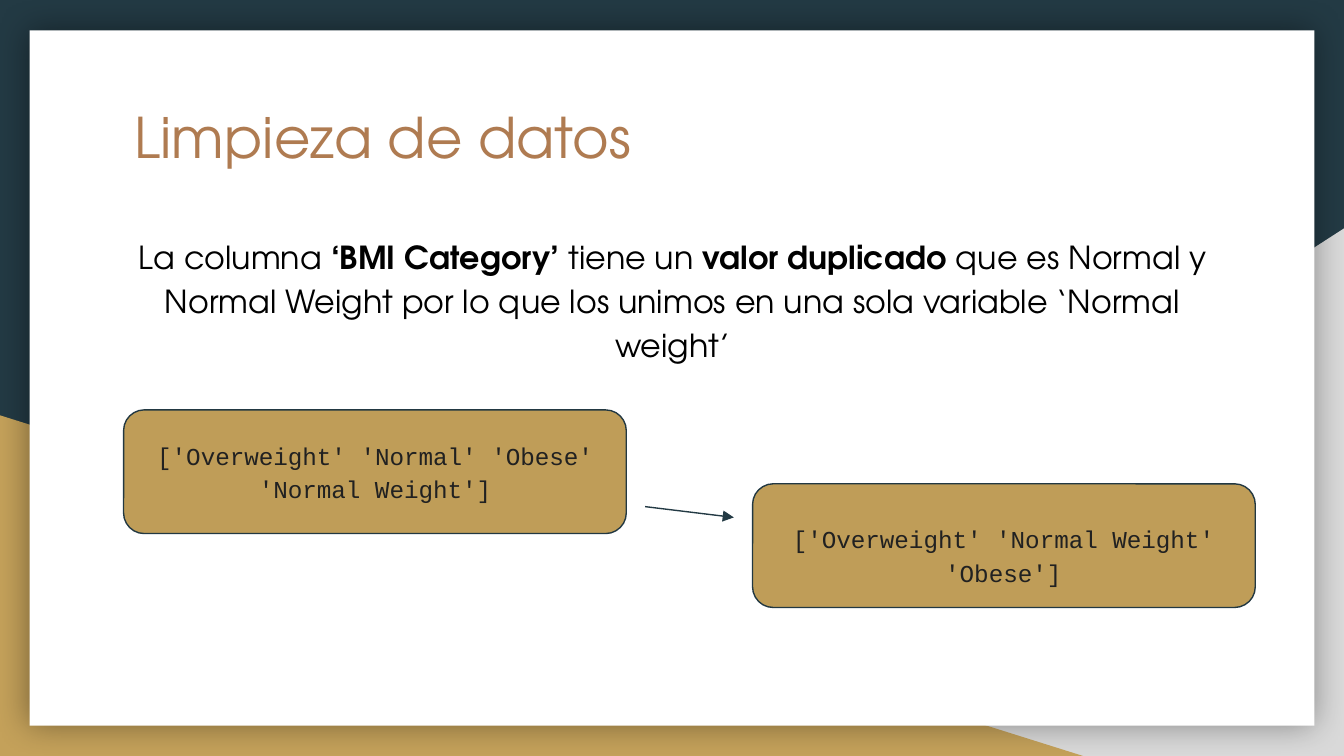
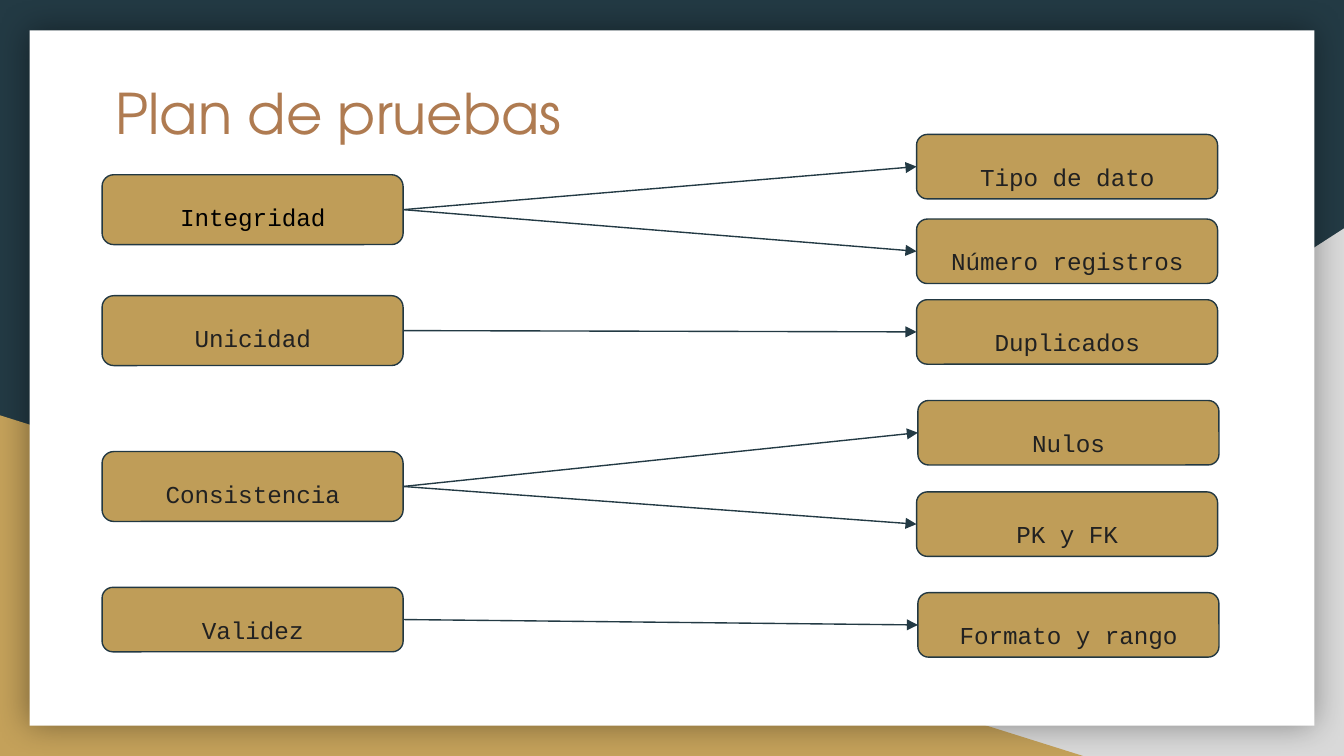
from typing import NamedTuple

from lxml import etree
from pptx import Presentation
from pptx import util as u
from pptx.dml.color import RGBColor
from pptx.enum import shapes, text
from pptx.oxml import ns

# Grid: cells of a tenth of an inch on a 16:9 page
CELL = u.Inches(0.1)
COLUMNS = 100
ROWS = COLUMNS * 9 / 16

NAVY, EDGE, GOLD, TAN = "233A44", "223842", "C4A15A", "BF9D58"
GREY, WHITE, BLACK, INK, COPPER = "D9D9D9", "FFFFFF", "000000", "212121", "AF7B51"
HEADING_FONT, CODE_FONT = "TeX Gyre Adventor", "Courier New"


class Area(NamedTuple):
    """A place on the grid: columns across, rows down."""
    left: float
    top: float
    width: float
    height: float

    def inset(self, across: float, down: float) -> "Area":
        return Area(self.left + across, self.top + down,
                    self.width - 2 * across, self.height - 2 * down)


class Style(NamedTuple):
    font: str
    size: int
    color: str
    align: text.PP_ALIGN = text.PP_ALIGN.CENTER


class Span(NamedTuple):
    words: str
    bold: bool = False


class Backing(NamedTuple):
    kind: shapes.MSO_SHAPE
    area: Area
    color: str
    flipped: bool = False
    shaded: bool = False


class Check(NamedTuple):
    """A quality dimension and the tests that cover it."""
    name: str
    top: float
    height: float
    tests: list[tuple[str, float, float]]
    color: str = INK


TITLE = Style(HEADING_FONT, 30, COPPER, text.PP_ALIGN.LEFT)
BODY = Style(HEADING_FONT, 17, BLACK)
CODE = Style(CODE_FONT, 13, INK)

BACKINGS = [
    Backing(shapes.MSO_SHAPE.RIGHT_TRIANGLE, Area(39.2, 17, COLUMNS - 39.2, ROWS - 17),
            GREY, flipped=True),
    Backing(shapes.MSO_SHAPE.RIGHT_TRIANGLE, Area(0, 30.9, 80.6, ROWS - 30.9), GOLD),
    Backing(shapes.MSO_SHAPE.RECTANGLE, Area(2.2, 2.25, 95.6, 51.75), WHITE, shaded=True),
]

# Slide contents
DUPLICATES = [
    Span("La columna "), Span("‘BMI Category’", True), Span(" tiene un "),
    Span("valor duplicado", True),
    Span(" que es Normal y Normal Weight por lo que los unimos "
         "en una sola variable ‘Normal weight’"),
]
BEFORE_AFTER = [
    (Area(56, 36, 37.4, 9.2), Area(57.2, 37.7, 34.9, 5.2),
     "['Overweight' 'Normal Weight' 'Obese']"),
    (Area(9.2, 30.5, 37.4, 9.2), Area(6.9, 31.5, 42, 6.9),
     "['Overweight' 'Normal' 'Obese' 'Normal Weight']"),
]
CHECK_LEFT, BOX_WIDTH, TEST_HEIGHT = 7.6, 22.4, 4.8
CHECKS = [
    Check("Integridad", 13, 5.2,
          [("Tipo de dato", 68.2, 10), ("Número registros", 68.2, 16.3)], BLACK),
    Check("Unicidad", 22, 5.2, [("Duplicados", 68.2, 22.3)]),
    Check("Consistencia", 33.6, 5.2, [("Nulos", 68.3, 29.8), ("PK y FK", 68.2, 36.6)]),
    Check("Validez", 43.7, 4.8, [("Formato y rango", 68.3, 44.1)]),
]


def grid(*counts: float) -> list[int]:
    return [round(count * CELL) for count in counts]


def paint(target, color: str) -> None:
    """Give a fill a solid colour."""
    target.solid()
    target.fore_color.rgb = RGBColor.from_string(color)


def place(shape, area: Area) -> None:
    shape.left, shape.top, shape.width, shape.height = grid(*area)


def write(shape, spans: list[Span], style: Style) -> None:
    """Write one paragraph at the top of a placeholder or text box."""
    frame = shape.text_frame
    frame.word_wrap = True
    frame.auto_size = text.MSO_AUTO_SIZE.NONE
    frame.vertical_anchor = text.MSO_ANCHOR.TOP
    frame.margin_left = frame.margin_right = CELL
    frame.margin_top = frame.margin_bottom = CELL
    para = frame.paragraphs[0]
    para.alignment, para.line_spacing = style.align, 1.15
    para.space_before = u.Pt(0)
    para.font.name, para.font.size = style.font, u.Pt(style.size)
    para.font.color.rgb = RGBColor.from_string(style.color)
    for words, bold in spans:
        span = para.add_run()
        span.text = words
        if bold:
            span.font.bold = True


def add_title(page, words: str, area: Area) -> None:
    place(page.shapes.title, area)
    write(page.shapes.title, [Span(words)], TITLE)


def add_body(page, spans: list[Span], area: Area) -> None:
    body = page.placeholders[1]
    place(body, area)
    write(body, spans, BODY)
    properties = body.text_frame.paragraphs[0]._p.get_or_add_pPr()
    properties.set("marL", "0")
    properties.set("indent", "0")
    bullet = etree.Element(ns.qn("a:buNone"))
    properties.find(ns.qn("a:defRPr")).addprevious(bullet)


def add_box(page, area: Area):
    box = page.shapes.add_shape(shapes.MSO_SHAPE.ROUNDED_RECTANGLE, *grid(*area))
    box.shadow.inherit = False
    paint(box.fill, TAN)
    paint(box.line.fill, EDGE)
    box.line.width = u.Pt(0.75)
    return box


def add_label(page, words: str, area: Area, color: str = INK) -> None:
    label = page.shapes.add_textbox(*grid(*area))
    write(label, [Span(words)], CODE._replace(color=color))


def add_labelled_box(page, words: str, area: Area, color: str = INK):
    box = add_box(page, area)
    add_label(page, words, area.inset(0.95, 0.72), color)
    return box


def add_arrow(page, start: tuple[float, float] = (0, 0), end: tuple[float, float] = (0, 0)):
    arrow = page.shapes.add_connector(shapes.MSO_CONNECTOR.STRAIGHT, *grid(*start, *end))
    paint(arrow.line.fill, NAVY)
    arrow.line.width = u.Pt(0.75)
    properties = arrow._element.spPr
    etree.SubElement(properties.find(ns.qn("a:ln")), ns.qn("a:tailEnd"), type="triangle")
    etree.SubElement(properties, ns.qn("a:effectLst"))
    return arrow


def join(page, source, target) -> None:
    """Glue an arrow from a box's right side to another's left side."""
    arrow = add_arrow(page)
    arrow.begin_connect(source, 3)
    arrow.end_connect(target, 1)


def add_shade(shape) -> None:
    effects = shape._element.spPr.find(ns.qn("a:effectLst"))
    shade = etree.SubElement(effects, ns.qn("a:outerShdw"), blurRad=str(u.Pt(18)),
                             dist="0", dir="0", algn="ctr", rotWithShape="0")
    color = etree.SubElement(shade, ns.qn("a:srgbClr"), val=BLACK)
    etree.SubElement(color, ns.qn("a:alpha"), val="40000")


def dress_master(master, page) -> None:
    """Draw the shared backings on a page and move them to its master."""
    paint(master.background.fill, NAVY)
    for order, backing in enumerate(BACKINGS):
        shape = page.shapes.add_shape(backing.kind, *grid(*backing.area))
        shape.shadow.inherit = False
        paint(shape.fill, backing.color)
        shape.line.fill.background()
        if backing.flipped:
            shape._element.spPr.xfrm.set("flipH", "1")
        if backing.shaded:
            add_shade(shape)
        shape._element.nvSpPr.cNvPr.set("id", str(20 + order))
        master.shapes.element.insert(2 + order, shape._element)


def fill_cleaning(page) -> None:
    add_title(page, "Limpieza de datos", Area(9, 5.9, 82.1, 10.4))
    add_body(page, DUPLICATES, Area(9, 16.3, 82.1, 13))
    for box_area, label_area, words in BEFORE_AFTER:
        add_box(page, box_area)
        add_label(page, words, label_area)
    add_arrow(page, (48, 37.7), (54.6, 38.5))


def fill_test_plan(page) -> None:
    add_title(page, "Plan de pruebas", Area(CHECK_LEFT, 4.1, 81.8, 7.1))
    for check in CHECKS:
        area = Area(CHECK_LEFT, check.top, BOX_WIDTH, check.height)
        source = add_labelled_box(page, check.name, area, check.color)
        for name, left, top in check.tests:
            area = Area(left, top, BOX_WIDTH, TEST_HEIGHT)
            join(page, source, add_labelled_box(page, name, area))


def main() -> None:
    deck = Presentation()
    deck.slide_width, deck.slide_height = grid(COLUMNS, ROWS)
    cleaning = deck.slides.add_slide(deck.slide_layouts[1])
    test_plan = deck.slides.add_slide(deck.slide_layouts[5])
    dress_master(deck.slide_master, cleaning)
    fill_cleaning(cleaning)
    fill_test_plan(test_plan)
    deck.save("out.pptx")


if __name__ == "__main__":
    main()
